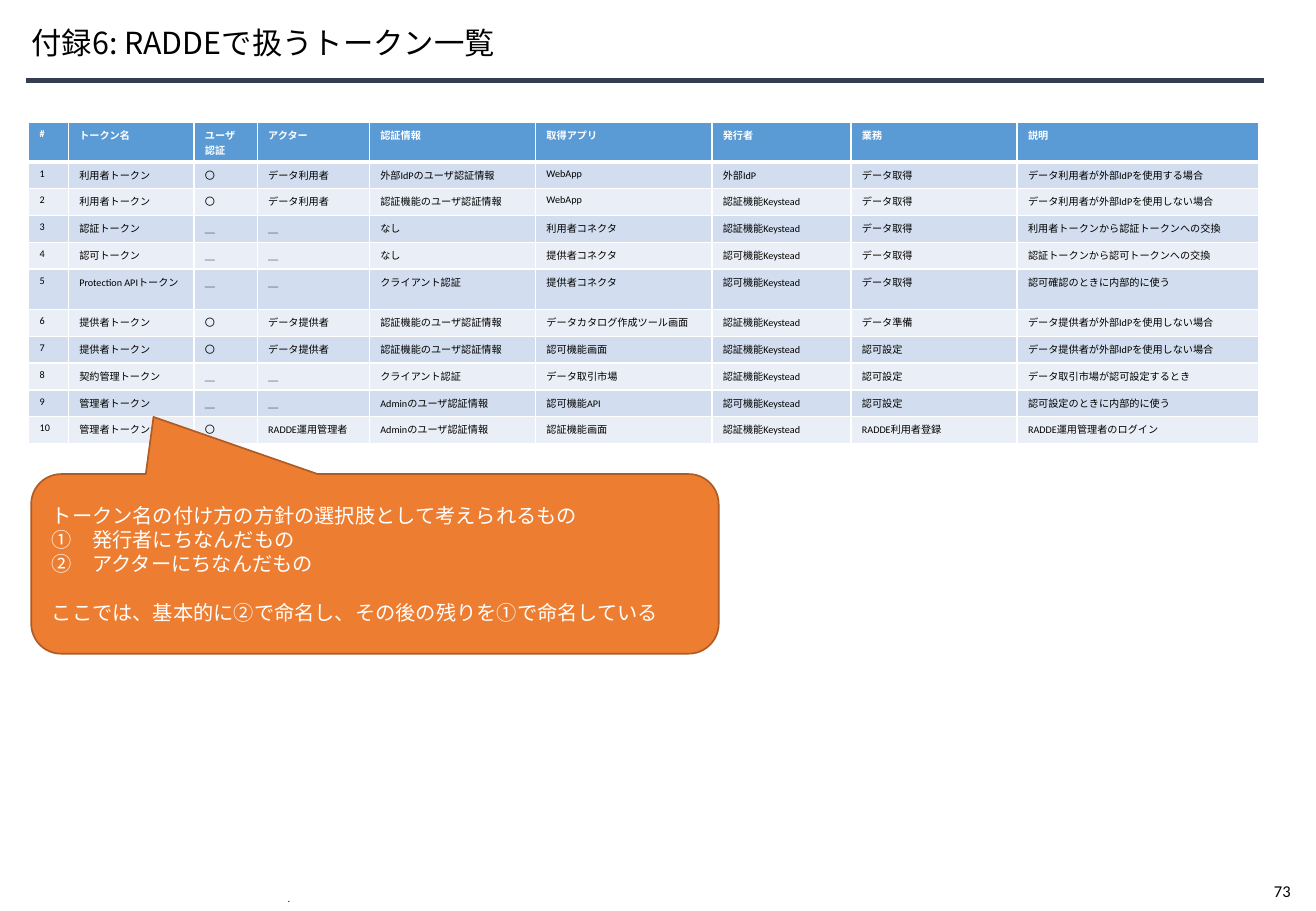
"""Build the appendix slide that lists the tokens and explains how they are named."""
from lxml import etree
from pptx import Presentation
from pptx.dml.color import RGBColor
from pptx.enum import shapes, text
from pptx.oxml import ns
from pptx.util import Pt

COLORS = {
    "black": "000000", "white": "FFFFFF", "rule": "333F50", "header": "5B9BD5",
    "odd": "D2DEEF", "even": "EAEFF7", "callout": "ED7D31", "outline": "AF5C24",
}
JAPANESE = "Noto Sans CJK JP"


def add_run(paragraph, words, size, color, latin="Calibri", bold=False):
    run = paragraph.add_run()
    run.text = words
    run.font.size = Pt(size)
    run.font.bold = bold
    run.font.color.rgb = RGBColor.from_string(COLORS[color])
    run.font.name = latin
    etree.SubElement(run.font._element, ns.qn("a:ea"), typeface=JAPANESE)


def add_border(cell, side, width):
    line = etree.SubElement(cell._tc.get_or_add_tcPr(), ns.qn(f"a:{side}"), w=str(Pt(width)))
    fill = etree.SubElement(line, ns.qn("a:solidFill"))
    etree.SubElement(fill, ns.qn("a:srgbClr"), val=COLORS["white"])


deck = Presentation()
deck.slide_width, deck.slide_height = Pt(780), Pt(540)
slide = deck.slides.add_slide(deck.slide_layouts[5])

page_number = slide.shapes.add_textbox(Pt(748), Pt(518.4), Pt(26), Pt(19.4)).text_frame
page_number.word_wrap = False
add_run(page_number.paragraphs[0], "73", 9.8, "black")

title_rule = slide.shapes.add_connector(
    shapes.MSO_CONNECTOR.STRAIGHT, Pt(15.4), Pt(47.8), Pt(749.5), Pt(47.8))
title_rule.line.color.rgb = RGBColor.from_string(COLORS["rule"])
title_rule.line.width = Pt(3)
etree.SubElement(title_rule._element.spPr, ns.qn("a:effectLst"))

footer = slide.shapes.add_textbox(Pt(163.4), Pt(529.9), Pt(453.6), Pt(10)).text_frame
footer.word_wrap = True
footer.vertical_anchor = text.MSO_ANCHOR.BOTTOM
footer.paragraphs[0].line_spacing = Pt(1.6)
add_run(footer.paragraphs[0], ".", 5.7, "black", JAPANESE)

title = slide.shapes.title
title.left, title.top, title.width, title.height = Pt(18.7), Pt(9.4), Pt(714.2), Pt(33.8)
heading = title.text_frame
heading.auto_size = text.MSO_AUTO_SIZE.NONE
heading.vertical_anchor = text.MSO_ANCHOR.MIDDLE
heading.margin_left = 0
heading.paragraphs[0].alignment = text.PP_ALIGN.LEFT
heading.paragraphs[0].line_spacing = 0.9
add_run(heading.paragraphs[0], "付録6: RADDEで扱うトークン一覧", 18, "black", JAPANESE)

tokens = [
    ("#", "トークン名", "ユーザ\n認証", "アクター", "認証情報", "取得アプリ", "発行者", "業務", "説明"),
    ("1", "利用者トークン", "〇", "データ利用者", "外部IdPのユーザ認証情報", "WebApp",
     "外部IdP", "データ取得", "データ利用者が外部IdPを使用する場合"),
    ("2", "利用者トークン", "〇", "データ利用者", "認証機能のユーザ認証情報", "WebApp",
     "認証機能Keystead", "データ取得", "データ利用者が外部IdPを使用しない場合"),
    ("3", "認証トークン", "＿", "＿", "なし", "利用者コネクタ",
     "認証機能Keystead", "データ取得", "利用者トークンから認証トークンへの交換"),
    ("4", "認可トークン", "＿", "＿", "なし", "提供者コネクタ",
     "認可機能Keystead", "データ取得", "認証トークンから認可トークンへの交換"),
    ("5", "Protection APIトークン", "＿", "＿", "クライアント認証", "提供者コネクタ",
     "認可機能Keystead", "データ取得", "認可確認のときに内部的に使う"),
    ("6", "提供者トークン", "〇", "データ提供者", "認証機能のユーザ認証情報", "データカタログ作成ツール画面",
     "認証機能Keystead", "データ準備", "データ提供者が外部IdPを使用しない場合"),
    ("7", "提供者トークン", "〇", "データ提供者", "認証機能のユーザ認証情報", "認可機能画面",
     "認証機能Keystead", "認可設定", "データ提供者が外部IdPを使用しない場合"),
    ("8", "契約管理トークン", "＿", "＿", "クライアント認証", "データ取引市場",
     "認証機能Keystead", "認可設定", "データ取引市場が認可設定するとき"),
    ("9", "管理者トークン", "＿", "＿", "Adminのユーザ認証情報", "認可機能API",
     "認可機能Keystead", "認可設定", "認可設定のときに内部的に使う"),
    ("10", "管理者トークン", "〇", "RADDE運用管理者", "Adminのユーザ認証情報", "認証機能画面",
     "認証機能Keystead", "RADDE利用者登録", "RADDE運用管理者のログイン"),
]
column_widths = [23.5, 74.5, 37.5, 66.5, 98.5, 104.5, 82.5, 98.5, 143]
row_heights = [23.5] + [15.9] * 4 + [24] + [15.9] * 5

token_table = slide.shapes.add_table(
    len(tokens), len(column_widths), Pt(17), Pt(72.5),
    Pt(sum(column_widths)), Pt(sum(row_heights))).table
for column, width in zip(token_table.columns, column_widths):
    column.width = Pt(width)
for row, height in zip(token_table.rows, row_heights):
    row.height = Pt(height)

for row_index, token in enumerate(tokens):
    is_header = row_index == 0
    band = "header" if is_header else "odd" if row_index % 2 else "even"
    for column_index, entry in enumerate(token):
        cell = token_table.cell(row_index, column_index)
        cell.margin_left = cell.margin_right = Pt(6.5)
        cell.margin_top = cell.margin_bottom = Pt(3.25)
        add_border(cell, "lnL", 1)
        add_border(cell, "lnR", 1)
        add_border(cell, "lnT", 3 if row_index == 1 else 1)
        add_border(cell, "lnB", 3 if is_header else 1)
        cell.fill.solid()
        cell.fill.fore_color.rgb = RGBColor.from_string(COLORS[band])
        for line_index, words in enumerate(entry.split("\n")):
            frame = cell.text_frame
            paragraph = frame.add_paragraph() if line_index else frame.paragraphs[0]
            add_run(paragraph, words, 6, "white" if is_header else "black", bold=is_header)

naming_note = slide.shapes.add_shape(
    shapes.MSO_SHAPE.ROUNDED_RECTANGULAR_CALLOUT, Pt(18.5), Pt(281), Pt(407.5), Pt(106.5))
for index, value in enumerate([-0.322, -0.818, 0.167]):
    naming_note.adjustments[index] = value
naming_note.shadow.inherit = False
naming_note.fill.solid()
naming_note.fill.fore_color.rgb = RGBColor.from_string(COLORS["callout"])
naming_note.line.color.rgb = RGBColor.from_string(COLORS["outline"])
naming_note.line.width = Pt(1)
naming_note.text_frame.word_wrap = True
naming_note.text_frame.vertical_anchor = text.MSO_ANCHOR.MIDDLE

naming_policy = [
    ("トークン名の付け方の方針の選択肢として考えられるもの", 0),
    ("①　発行者にちなんだもの", 0),
    ("②　アクターにちなんだもの", 0),
    ("ここでは、基本的に②で命名し、その後の残りを①で命名している", 14.4),
]
for index, (words, gap) in enumerate(naming_policy):
    frame = naming_note.text_frame
    paragraph = frame.add_paragraph() if index else frame.paragraphs[0]
    paragraph.alignment = text.PP_ALIGN.LEFT
    paragraph.line_spacing = Pt(14.4)
    paragraph.space_before = Pt(gap)
    add_run(paragraph, words, 12, "white")

deck.save("out.pptx")
